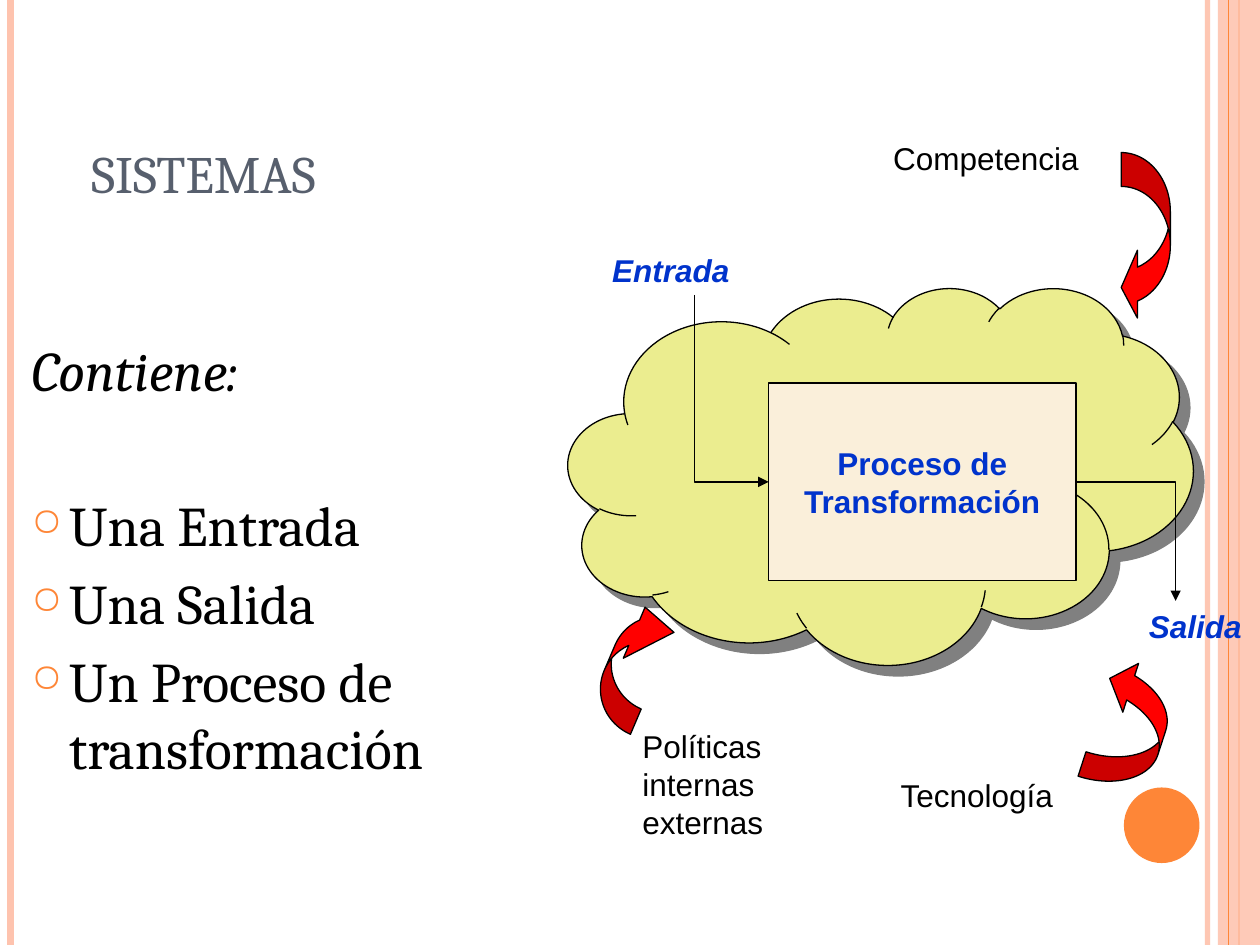
from lxml import etree
from pptx import Presentation
from pptx.dml.color import RGBColor
from pptx.enum.shapes import MSO_CONNECTOR, MSO_SHAPE
from pptx.enum.text import MSO_ANCHOR, MSO_AUTO_SIZE, PP_ALIGN
from pptx.oxml import parse_xml
from pptx.oxml.ns import nsdecls, qn
from pptx.util import Pt

STRAIGHT, ELBOW = MSO_CONNECTOR.STRAIGHT, MSO_CONNECTOR.ELBOW
RECT, OVAL, CLOUD = MSO_SHAPE.RECTANGLE, MSO_SHAPE.OVAL, MSO_SHAPE.CLOUD
BEND_LEFT = MSO_SHAPE.CURVED_LEFT_ARROW
BEND_RIGHT = MSO_SHAPE.CURVED_RIGHT_ARROW
BEND_DOWN = MSO_SHAPE.CURVED_DOWN_ARROW
LEFT, CENTER = PP_ALIGN.LEFT, PP_ALIGN.CENTER
TOP, MIDDLE, BOTTOM = MSO_ANCHOR.TOP, MSO_ANCHOR.MIDDLE, MSO_ANCHOR.BOTTOM
NO_FIT = MSO_AUTO_SIZE.NONE

BLACK = RGBColor(0, 0, 0)
SLATE = RGBColor(0x57, 0x5F, 0x6D)
BLUE = RGBColor(0, 0x33, 0xCC)
PEACH = RGBColor(0xFE, 0xC3, 0xAE)
ORANGE = RGBColor(0xFE, 0x86, 0x37)
LIME = RGBColor(0xEB, 0xED, 0x8F)
CREAM = RGBColor(0xFA, 0xEF, 0xDA)
RED = RGBColor(0xFF, 0, 0)
GREY = RGBColor(0x80, 0x80, 0x80)


def fade(part, percent):
    """Set the opacity of the first solid colour in a part."""
    color = next(part._element.spPr.iter(qn("a:srgbClr")))
    etree.SubElement(color, qn("a:alpha")).set("val", str(percent * 1000))


def style(par, face, size, color, bold=False, italic=False, align=LEFT):
    par.alignment = align
    font = par.font
    font.name, font.size, font.color.rgb = face, Pt(size), color
    font.bold, font.italic = bold, italic


def add_shape(slide, kind, box, fill, line=None):
    shape = slide.shapes.add_shape(kind, *map(Pt, box))
    shape.shadow.inherit = False
    shape.fill.solid()
    shape.fill.fore_color.rgb = fill
    if line is None:
        shape.line.fill.background()
    else:
        shape.line.color.rgb, shape.line.width = line, Pt(0.75)
    return shape


def add_line(slide, kind, ends, color, width):
    line = slide.shapes.add_connector(kind, *map(Pt, ends))
    line.line.color.rgb, line.line.width = color, Pt(width)
    etree.SubElement(line._element.spPr, qn("a:effectLst"))
    return line


def add_elbow(slide, start, end, down=False):
    """Arrow with one corner, leaving sideways or, if down, downwards."""
    (x1, y1), (x2, y2) = start, end
    ends = x1, y1, x2, y2
    if down:
        mid_x, mid_y = (x1 + x2) / 2, (y1 + y2) / 2
        half_w, half_h = (y2 - y1) / 2, (x2 - x1) / 2
        ends = mid_x + half_w, mid_y - half_h, mid_x - half_w, mid_y + half_h
    line = add_line(slide, ELBOW, ends, BLACK, 0.75)
    props = line._element.spPr
    props.find(qn("a:prstGeom")).set("prst", "bentConnector2")
    if down:
        props.find(qn("a:xfrm")).set("rot", str(270 * 60000))
    etree.SubElement(props.find(qn("a:ln")), qn("a:tailEnd")).set("type", "triangle")


def add_label(slide, text, box, color=BLACK, strong=False):
    frame = slide.shapes.add_textbox(*map(Pt, box)).text_frame
    frame.word_wrap = True
    frame.text = text
    style(frame.paragraphs[0], "Arial", 18, color, strong, strong)


def add_bullet(par):
    props = par._p.get_or_add_pPr()
    props.set("marL", str(Pt(21.6)))
    props.set("indent", str(-Pt(21.6)))
    for item in (f'<a:buClr {nsdecls("a")}><a:srgbClr val="{ORANGE}"/></a:buClr>',
                 f'<a:buSzPct {nsdecls("a")} val="70000"/>',
                 f'<a:buChar {nsdecls("a")} char="○"/>'):
        props.append(parse_xml(item))


def draw_frame(slide, width, height):
    # Vertical stripes at both edges, and the corner dot
    def stripe(x, color, weight):
        return add_line(slide, STRAIGHT, (x, 0, x, height), color, weight)

    fade(stripe(width - 30, PEACH, 3), 93)
    stripe(6, PEACH, 4.5)
    stripe(width - 12, ORANGE, 1.5)
    fade(add_shape(slide, RECT, (width - 24, 0, 24, height), PEACH), 87)
    stripe(width - 18, ORANGE, 0.75)
    add_shape(slide, OVAL, (width - 77.76, height - 90, 43.2, 43.2), ORANGE)


def draw_title(slide, box):
    title = slide.shapes.title
    title.left, title.top, title.width, title.height = map(Pt, box)
    frame = title.text_frame
    frame.text = "SISTEMAS"
    frame.auto_size, frame.vertical_anchor = NO_FIT, BOTTOM
    style(frame.paragraphs[0], "Cambria", 30, SLATE)


def draw_list(slide, box):
    frame = slide.shapes.add_textbox(*map(Pt, box)).text_frame
    frame.word_wrap, frame.vertical_anchor = True, TOP
    head = frame.paragraphs[0]
    head.text = "Contiene:"
    style(head, "Cambria", 32, BLACK, italic=True)
    items = "Una Entrada", "Una Salida", "Un Proceso de transformación"
    for i, text in enumerate(items):
        par = frame.add_paragraph()
        par.text = text
        par.space_before = Pt(6 if i else 50.3)
        add_bullet(par)
        style(par, "Cambria", 32, BLACK)


def draw_system(slide, box):
    left, top, width, height = box

    # Cloud with a hard shadow
    cloud = add_shape(slide, CLOUD, box, LIME, BLACK)
    cloud._element.spPr.find(qn("a:effectLst")).append(parse_xml(
        f'<a:outerShdw {nsdecls("a")} dist="{Pt(8.5)}" dir="2700000" algn="ctr" '
        f'rotWithShape="0"><a:srgbClr val="{GREY}"/></a:outerShdw>'))

    # Process box
    x, y, w, h = left + 114.5, top + 54.7, 175.7, 113
    process = add_shape(slide, RECT, (x, y, w, h), CREAM, BLACK)
    frame = process.text_frame
    frame.word_wrap, frame.vertical_anchor = False, MIDDLE
    frame.text = "Proceso de\nTransformación"
    for par in frame.paragraphs:
        style(par, "Arial", 18, BLUE, bold=True, align=CENTER)

    # Flow in and out
    mid = y + h / 2
    add_elbow(slide, (x - 42.5, top + 4.3), (x, mid), down=True)
    add_elbow(slide, (x + w, mid), (x + w + 56.9, mid + 68))
    add_label(slide, "Entrada", (left + 18, top - 24.5, 107.3, 29), BLUE, True)
    add_label(slide, "Salida", (left + 324.7, top + 179.3, 70, 29), BLUE, True)

    # Outside forces
    for text, dx, dy, tall in (("Competencia", 178.6, -88.6, 29),
                               ("Políticas internas externas", 35.3, 247.7, 72),
                               ("Tecnología", 182.9, 275.8, 29)):
        add_label(slide, text, (left + dx, top + dy, 147.6, tall))
    for kind, dx, dy, w, h, turn, bends in (
            (BEND_DOWN, -1.4, 199.4, 79.2, 28.1, 293.1, (0.56, 1.13, 0.74)),
            (BEND_RIGHT, 301.7, 213.8, 39.6, 73.4, 197.9, (0.37, 0.74, 0.33)),
            (BEND_LEFT, 316, -77, 28.1, 96.5, 0, (0.69, 1.38, 0.33))):
        arrow = add_shape(slide, kind, (left + dx, top + dy, w, h), RED, BLACK)
        arrow.rotation = turn
        for i, bend in enumerate(bends):
            arrow.adjustments[i] = bend


def main():
    deck = Presentation()
    deck.slide_width, deck.slide_height = Pt(720), Pt(540)
    slide = deck.slides.add_slide(deck.slide_layouts[5])
    draw_frame(slide, 720, 540)
    draw_title(slide, (45, 24, 630, 96))
    draw_list(slide, (10.8, 188.3, 318, 267.5))
    draw_system(slide, (324.7, 164.2, 357.1, 215.3))
    deck.save("out.pptx")


if __name__ == "__main__":
    main()
